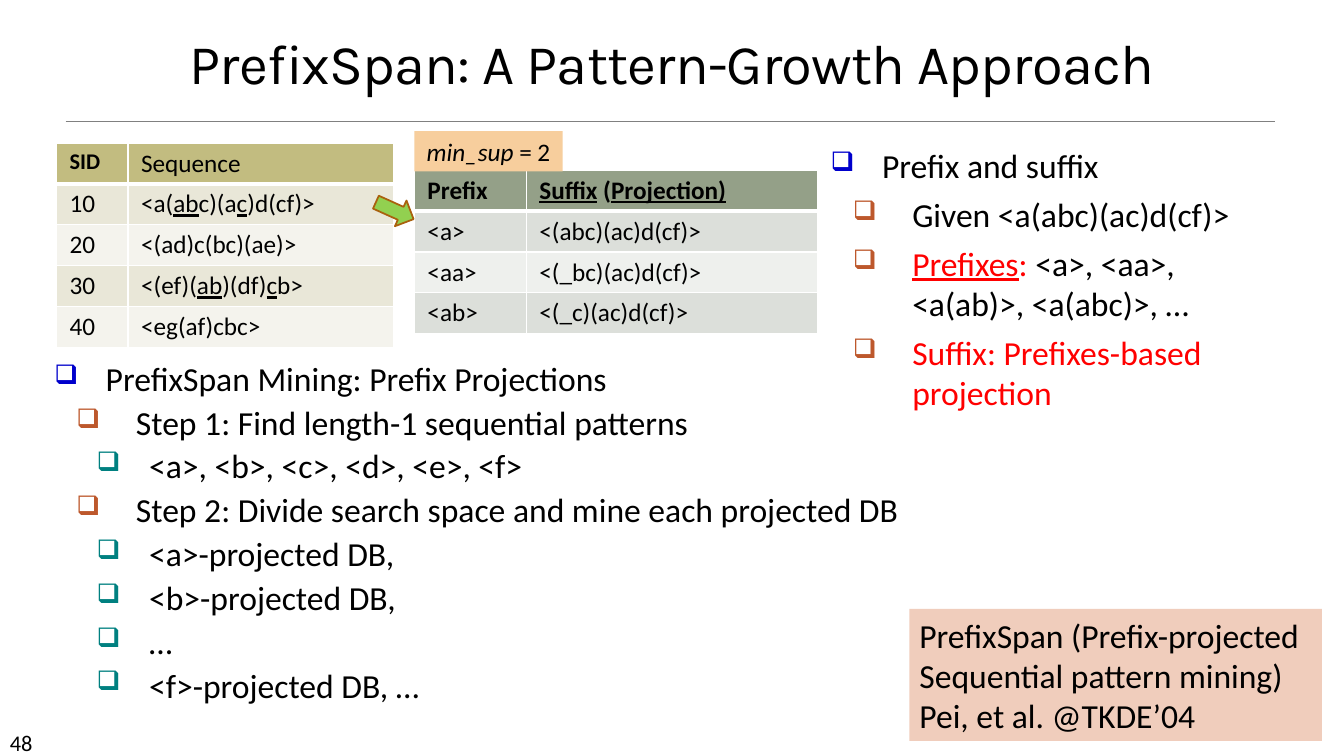
from lxml import etree
from pptx import Presentation
from pptx.dml.color import RGBColor as RGB
from pptx.enum.shapes import MSO_CONNECTOR as CONN, MSO_SHAPE as SHAPE
from pptx.enum.text import MSO_ANCHOR as ANCHOR, PP_ALIGN as ALIGN
from pptx.oxml import parse_xml
from pptx.oxml.ns import nsdecls, qn
from pptx.util import Inches, Pt

COLORS = {
    "black": "000000", "white": "FFFFFF", "red": "FF0000", "rule": "808080",
    "level0": "0000CC", "level1": "BD582C", "level2": "008080",
    "citation": "F0CDBC", "support": "F7CE9D",
    "arrow": "92D050", "arrow_edge": "A9610D",
}
INDENTS = [(0.51, -0.51), (0.81, -0.59), (0.94, -0.52)]


def write(p, text, color="black", font="Calibri", **fmt):
    for i, part in enumerate(text.split("|")):
        if part:
            r = p.add_run()
            r.text = part
            r.font.name = font
            r.font.color.rgb = RGB.from_string(COLORS[color])
            for key, value in {"underline": i % 2 == 1, **fmt}.items():
                setattr(r.font, key, value)


def add_text(left, top, width, height):
    sp = s.shapes.add_textbox(Inches(left), Inches(top), Inches(width), Inches(height))
    sp.text_frame.word_wrap = True
    return sp.text_frame


prs = Presentation()
prs.slide_width, prs.slide_height = Inches(13.33), Inches(7.5)
s = prs.slides.add_slide(prs.slide_layouts[6])

rule = s.shapes.add_connector(CONN.STRAIGHT, Inches(0.65), Inches(1.2), Inches(12.65), Inches(1.2))
rule.line.color.rgb = RGB.from_string(COLORS["rule"])
rule.line.width = Pt(0.5)
etree.SubElement(rule._element.spPr, qn("a:effectLst"))

tf = add_text(0, 7.18, 1.17, 0.3)
write(tf.paragraphs[0], "48", size=Pt(16))

tf = add_text(0.22, 0.17, 12.89, 0.83)
tf.vertical_anchor = ANCHOR.BOTTOM
p = tf.paragraphs[0]
p.alignment = ALIGN.CENTER
p.line_spacing = 0.85
write(p, "PrefixSpan: A Pattern-Growth Approach", font="Karla", size=Pt(40))
p.runs[0]._r.get_or_add_rPr().set("spc", "-50")

outlines = [
    ((0.44, 3.5, 9.22, 3.67), 2.5, [
        (0, [("PrefixSpan Mining: Prefix Projections", "black")]),
        (1, [("Step 1: Find length-1 sequential patterns", "black")]),
        (2, [("<a>, <b>, <c>, <d>, <e>, <f>", "black")]),
        (1, [("Step 2: Divide search space and mine each projected DB", "black")]),
        (2, [("<a>-projected DB,", "black")]),
        (2, [("<b>-projected DB,", "black")]),
        (2, [("…", "black")]),
        (2, [("<f>-projected DB, …", "black")]),
    ]),
    ((8.14, 1.39, 4.54, 2.76), 6, [
        (0, [("Prefix and suffix", "black")]),
        (1, [("Given <a(abc)(ac)d(cf)>", "black")]),
        (1, [("|Prefixes|:", "red"), (" <a>, <aa>, <a(ab)>, <a(abc)>, …", "black")]),
        (1, [("Suffix: Prefixes-based projection", "red")]),
    ]),
]
for box, gap, items in outlines:
    tf = add_text(*box)
    for i, (level, runs) in enumerate(items):
        p = tf.add_paragraph() if i else tf.paragraphs[0]
        p.level = level
        p.space_before = Pt(gap if i else 0)
        pPr = p._p.get_or_add_pPr()
        for key, value in zip(("marL", "indent"), INDENTS[level]):
            pPr.set(key, str(Inches(value)))
        ns = nsdecls("a")
        bullet_color = COLORS[f"level{level}"]
        for xml in (
            f'<a:buClr {ns}><a:srgbClr val="{bullet_color}"/></a:buClr>',
            f'<a:buSzPct {ns} val="80000"/>',
            f'<a:buChar {ns} char="❑"/>',
        ):
            pPr.append(parse_xml(xml))
        for text, color in runs:
            write(p, text, color, size=Pt(24))

tables = [
    ((0.56, 1.42), (0.71, 2.63), ("C2BC80", "E9E7D8", "F4F3ED"), [
        ("SID", "Sequence"),
        ("10", "<a(|ab|c)(a|c|)d(cf)>"),
        ("20", "<(ad)c(bc)(ae)>"),
        ("30", "<(ef)(|ab|)(df)|c|b>"),
        ("40", "<eg(af)cbc>"),
    ]),
    ((4.11, 1.69), (1.11, 2.89), ("94A088", "DCDFDA", "EEF0ED"), [
        ("Prefix", "|Suffix| (|Projection)|"),
        ("<a>", "<(abc)(ac)d(cf)>"),
        ("<aa>", "<(_bc)(ac)d(cf)>"),
        ("<ab>", "<(_c)(ac)d(cf)>"),
    ]),
]
row_height = 0.405
for (left, top), widths, (head, odd, even), rows in tables:
    table = s.shapes.add_table(
        len(rows), 2, Inches(left), Inches(top),
        Inches(sum(widths)), Inches(row_height * len(rows))).table
    for column, width in zip(table.columns, widths):
        column.width = Inches(width)
    for y, row in enumerate(rows):
        table.rows[y].height = Inches(row_height)
        fill = head if y == 0 else odd if y % 2 else even
        for x, text in enumerate(row):
            cell = table.cell(y, x)
            cell.margin_left = cell.margin_right = Inches(0.13)
            tcPr = cell._tc.get_or_add_tcPr()
            for side in "LRTB":
                heavy = (y == 0 and side == "B") or (y == 1 and side == "T")
                tcPr.append(parse_xml(
                    f'<a:ln{side} {nsdecls("a")} w="{Pt(3 if heavy else 1)}"><a:solidFill>'
                    f'<a:srgbClr val="{COLORS["white"]}"/></a:solidFill></a:ln{side}>'))
            cell.fill.solid()
            cell.fill.fore_color.rgb = RGB.from_string(fill)
            write(cell.text_frame.paragraphs[0], text,
                  size=Pt(16 if text == "SID" else 18),
                  bold=y == 0 and text != "Sequence")

shapes = {}
for name, kind, box in [
    ("citation", SHAPE.RECTANGLE, (9.02, 6.04, 4.09, 1.31)),
    ("arrow", SHAPE.RIGHT_ARROW, (3.71, 1.95, 0.41, 0.28)),
    ("support", SHAPE.RECTANGLE, (4.11, 1.3, 1.47, 0.4)),
]:
    sp = s.shapes.add_shape(kind, *map(Inches, box))
    sp.shadow.inherit = False
    sp.fill.solid()
    sp.fill.fore_color.rgb = RGB.from_string(COLORS[name])
    sp.line.fill.background()
    sp.text_frame.word_wrap = True
    shapes[name] = sp

p = shapes["citation"].text_frame.paragraphs[0]
p.alignment = ALIGN.LEFT
write(p, "PrefixSpan (Prefix-projected Sequential pattern mining) Pei, et al. @TKDE’04", size=Pt(24))

arrow = shapes["arrow"]
arrow.rotation = 24.2
arrow.line.color.rgb = RGB.from_string(COLORS["arrow_edge"])
arrow.line.width = Pt(1.25)

p = shapes["support"].text_frame.paragraphs[0]
p.alignment = ALIGN.CENTER
write(p, "min_sup ", size=Pt(18), italic=True)
write(p, "= 2", size=Pt(18))

prs.save("out.pptx")
